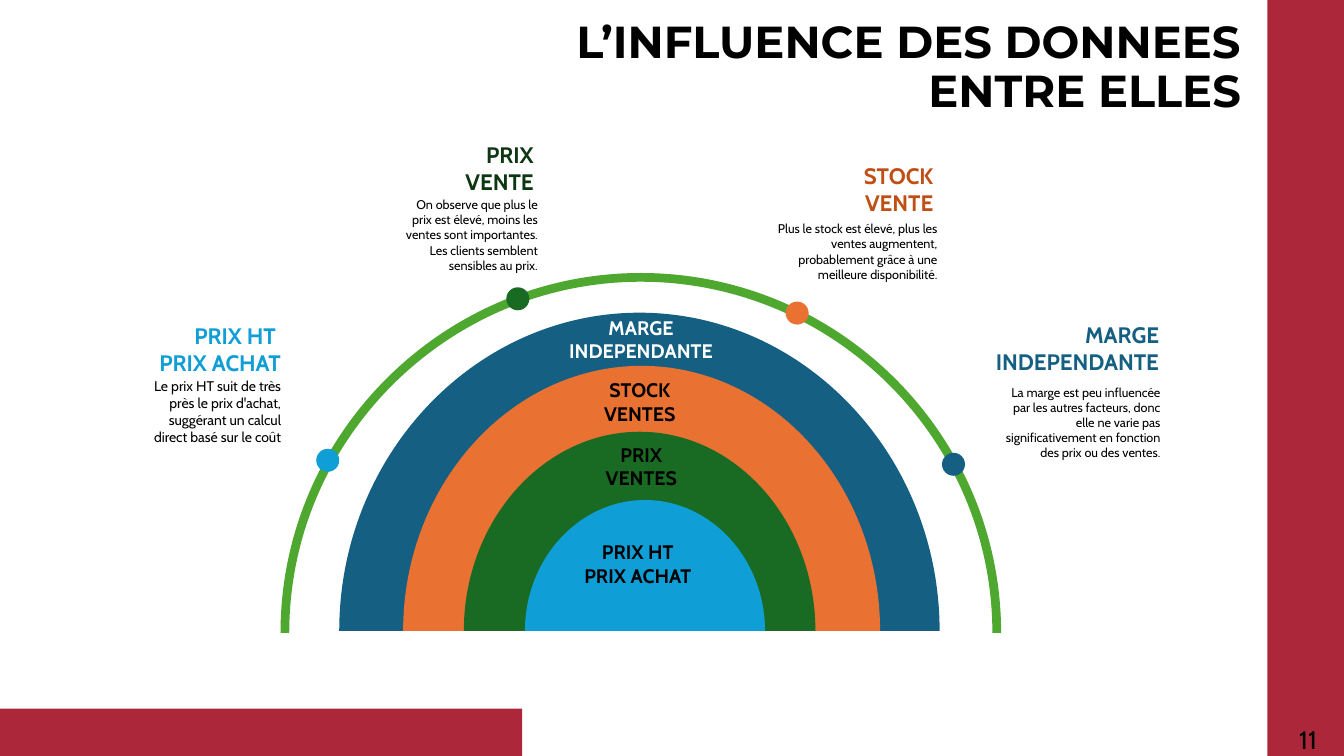
import pptx
import pptx.dml.color
import pptx.enum.shapes
import pptx.enum.text
import pptx.oxml
import pptx.oxml.ns
import pptx.util

Cm = pptx.util.Cm
Pt = pptx.util.Pt
RGBColor = pptx.dml.color.RGBColor
Shape = pptx.enum.shapes.MSO_SHAPE
Align = pptx.enum.text.PP_ALIGN
Anchor = pptx.enum.text.MSO_ANCHOR
qn = pptx.oxml.ns.qn

BLACK = RGBColor(0x00, 0x00, 0x00)
WHITE = RGBColor(0xFF, 0xFF, 0xFF)
CRIMSON = RGBColor(0xAD, 0x27, 0x3A)
LIME = RGBColor(0x4E, 0xA7, 0x2E)
TEAL = RGBColor(0x15, 0x60, 0x82)
ORANGE = RGBColor(0xE9, 0x71, 0x32)
RUST = RGBColor(0xC0, 0x4F, 0x15)
GREEN = RGBColor(0x19, 0x6B, 0x24)
DARK_GREEN = RGBColor(0x0D, 0x36, 0x12)
BLUE = RGBColor(0x0F, 0x9E, 0xD5)

CURVE_RATIO = 0.55
DOT_SIZE = 0.58
LABEL_HEIGHT = 1.45

LAYERS = [
    (8.55, 7.88, 15.13, 8.02, TEAL),
    (10.16, 9.22, 12.02, 6.68, ORANGE),
    (11.69, 10.88, 8.86, 5.02, GREEN),
    (13.23, 12.6, 6.05, 3.3, BLUE),
]
LABELS = [
    ("PRIX HT \nPRIX ACHAT ", 14.35, 13.47, 3.56, BLACK, Anchor.BOTTOM),
    ("PRIX\nVENTES", 14.44, 11.02, 3.45, BLACK, Anchor.MIDDLE),
    ("STOCK\nVENTES", 14.4, 9.4, 3.45, BLACK, Anchor.MIDDLE),
    ("MARGE\nINDEPENDANTE", 14.01, 7.82, 4.29, WHITE, Anchor.MIDDLE),
]
TOP_DOTS = [(19.8, 7.6, ORANGE), (23.74, 11.41, TEAL)]
LEFT_DOTS = [(12.76, 7.24, GREEN), (7.97, 11.31, BLUE)]
CALLOUTS = [
    ("PRIX HT \nPRIX ACHAT", (3.52, 7.97, 3.81, 1.63), BLUE,
     "Le prix HT suit de très près le prix d'achat, suggérant un calcul "
     "direct basé sur le coût", (3.52, 9.4, 3.81, 1.96), 10, 9),
    ("MARGE INDEPENDANTE", (24.66, 7.95, 4.8, 1.63), TEAL,
     "La marge est peu influencée par les autres facteurs, donc elle ne varie "
     "pas significativement en fonction des prix ou des ventes.",
     (25.1, 9.57, 4.39, 2.18), 9, 9),
    ("STOCK\nVENTE", (19.96, 3.93, 3.81, 1.63), RUST,
     "Plus le stock est élevé, plus les ventes augmentent, probablement grâce "
     "à une meilleure disponibilité.", (19.58, 5.45, 4.29, 1.8), 9, None),
    ("PRIX\nVENTE", (9.89, 3.4, 3.81, 1.63), DARK_GREEN,
     "On observe que plus le prix est élevé, moins les ventes sont importantes. "
     "Les clients semblent sensibles au prix.",
     (9.99, 4.84, 3.81, 2.18), 9, None),
]


def paint(shape, color):
    """Give a shape a flat fill without line or shadow."""
    shape.shadow.inherit = False
    shape.fill.solid()
    shape.fill.fore_color.rgb = color
    shape.line.fill.background()


def add_preset(page, kind, area, color):
    """Add a flat preset shape and return it."""
    shape = page.shapes.add_shape(kind, *map(Cm, area))
    paint(shape, color)
    return shape


def add_dots(page, dots):
    """Add round markers on the outer ring."""
    for left, top, color in dots:
        add_preset(page, Shape.OVAL, (left, top, DOT_SIZE, DOT_SIZE), color)


def half_ellipse(center, base, radius_x, radius_y):
    """Return the knots and handles of an upper half ellipse."""
    ratios = [(-1, 0), (-1, CURVE_RATIO), (-CURVE_RATIO, 1), (0, 1),
              (CURVE_RATIO, 1), (1, CURVE_RATIO), (1, 0)]
    return [(Cm(center + radius_x * across), Cm(base - radius_y * up))
            for across, up in ratios]


def bend(shape, starts):
    """Merge each three line segments from the given starts into a curve."""
    lines = list(shape.element.iter(qn("a:lnTo")))
    for start in starts:
        first, *others = lines[start:start + 3]
        first.tag = qn("a:cubicBezTo")
        for line in others:
            first.append(line[0])
            line.getparent().remove(line)


def add_dome(page, left, top, width, height, color, thickness=0):
    """Add a half disc, or a half ring when a thickness is given."""
    center, base, radius = left + width / 2, top + height, width / 2
    points = half_ellipse(center, base, radius, height)
    starts = [0, 3]
    if thickness:
        inner = half_ellipse(center, base, radius - thickness, height - thickness)
        points += reversed(inner)
        starts += [7, 10]
    builder = page.shapes.build_freeform(*points[0])
    builder.add_line_segments(points[1:], close=True)
    dome = builder.convert_to_shape()
    bend(dome, starts)
    paint(dome, color)


def add_text(shapes, text, area, size, color, align, anchor=Anchor.TOP,
             bold=False, font="Cabin", grow=True):
    """Add a wrapping text box in one style and return its frame."""
    frame = shapes.add_textbox(*map(Cm, area)).text_frame
    frame.word_wrap = True
    frame.vertical_anchor = anchor
    if grow:
        frame.auto_size = pptx.enum.text.MSO_AUTO_SIZE.SHAPE_TO_FIT_TEXT
    frame.text = text
    for para in frame.paragraphs:
        para.alignment = align
        for span in para.runs:
            span.font.name = font
            span.font.size = Pt(size)
            span.font.bold = bold
            span.font.color.rgb = color
    return frame


def add_callout(page, heading, heading_area, color, body, body_area, size, gap):
    """Add a grouped heading and explanation."""
    shapes = page.shapes.add_group_shape().shapes
    title = add_text(shapes, heading, heading_area, 16, color, Align.RIGHT,
                     Anchor.BOTTOM, bold=True)
    detail = add_text(shapes, body, body_area, size, BLACK, Align.RIGHT)
    title.margin_left = detail.margin_left = 0
    if gap:
        detail.paragraphs[0].space_before = Pt(gap)


def main():
    """Build the slide and save the deck."""
    deck = pptx.Presentation()
    deck.slide_width, deck.slide_height = Cm(33.87), Cm(19.05)
    page = deck.slides.add_slide(deck.slide_layouts[6])

    add_dome(page, 7.07, 6.88, 18.16, 9.07, LIME, thickness=0.22)
    for layer in LAYERS:
        add_dome(page, *layer)
    add_dots(page, TOP_DOTS)
    for text, left, top, width, color, anchor in LABELS:
        add_text(page.shapes, text, (left, top, width, LABEL_HEIGHT), 14, color,
                 Align.CENTER, anchor, bold=True)
    add_dots(page, LEFT_DOTS)
    for callout in CALLOUTS:
        add_callout(page, *callout)

    footer = add_preset(page, Shape.RECTANGLE, (5.98, 11.88, 1.2, 13.16), CRIMSON)
    footer.rotation = 90
    add_preset(page, Shape.RECTANGLE, (31.94, 0, 1.93, 19.07), CRIMSON)
    title = add_text(page.shapes, "L’INFLUENCE DES DONNEES ENTRE ELLES",
                     (13.7, 0.38, 17.83, 1.42), 32, BLACK, Align.RIGHT,
                     bold=True, font="Montserrat", grow=False)
    title.paragraphs[0].line_spacing = 0.9
    add_text(page.shapes, "11", (32.49, 18.13, 1.35, 1.02), 18, BLACK, Align.LEFT)

    deck.save("out.pptx")


if __name__ == "__main__":
    main()
